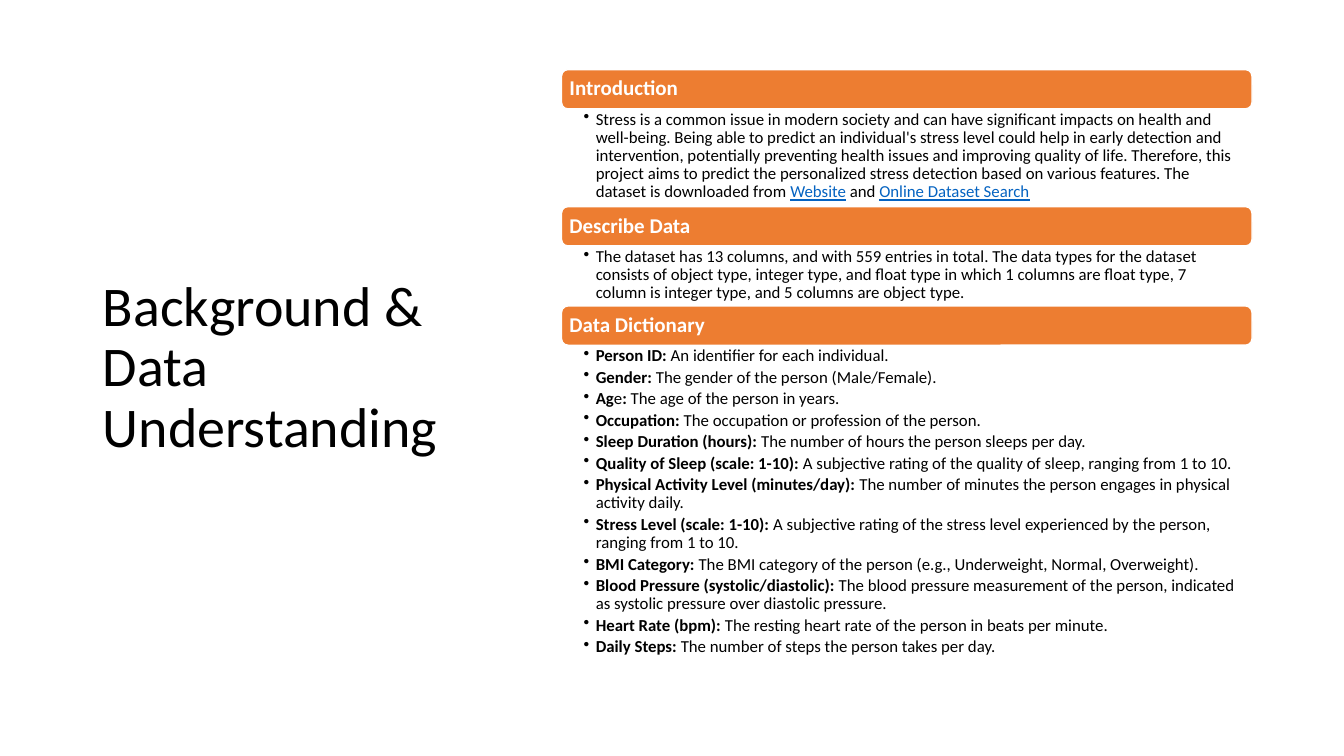
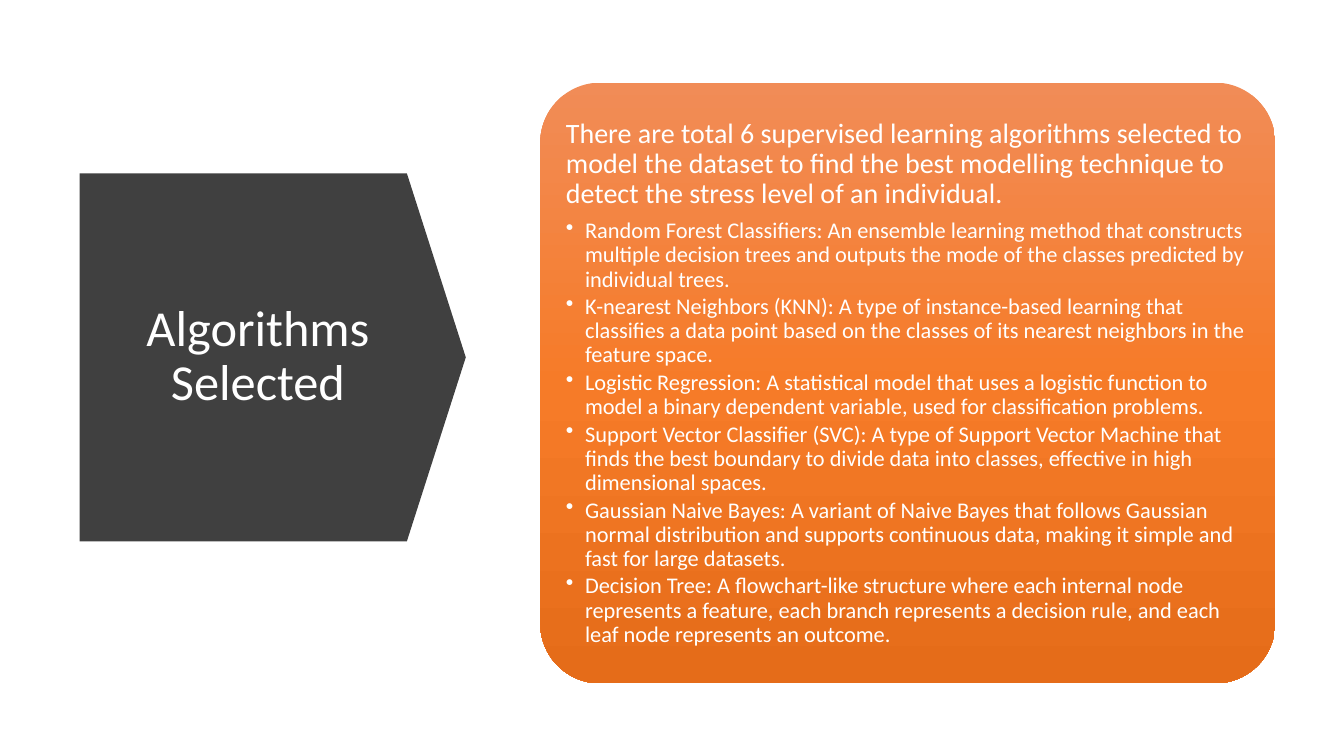
from dataclasses import dataclass

from lxml import etree
from pptx import Presentation
from pptx import util as u
from pptx.dml.color import RGBColor
from pptx.enum import shapes, text
from pptx.oxml.ns import qn

FONT = "Calibri"
COLORS = {
    "text": "000000",
    "light": "FFFFFF",
    "accent": "ED7D31",
    "link": "0563C1",
    "arrow": "404040",
}
CARD_GRADIENT = [(0, "F18C57"), (50, "F67B28"), (100, "E56C19")]
WIDTH, HEIGHT = u.Inches(13.33), u.Inches(7.5)
LINE_SPACING = 0.9


@dataclass(frozen=True)
class Area:
    """Left, top, width and height in percent of the slide's size."""
    left: float
    top: float
    width: float
    height: float

    def box(self) -> tuple[int, int, int, int]:
        return (round(WIDTH * self.left / 100), round(HEIGHT * self.top / 100),
                round(WIDTH * self.width / 100), round(HEIGHT * self.height / 100))


@dataclass(frozen=True)
class Run:
    text: str
    bold: bool = False
    link: bool = False


@dataclass(frozen=True)
class Style:
    size: float
    color: str = "text"
    space_after: float = 0
    bullet_indent: float = 0
    align: text.PP_ALIGN = text.PP_ALIGN.LEFT


@dataclass(frozen=True)
class Section:
    heading: str
    height: float
    items: list[list[Run]]


def entry(term: str, meaning: str) -> list[Run]:
    return [Run(term + ": ", bold=True), Run(meaning)]


BAND = Area(41.78, 9.2, 51.38, 5.2)
HEADING = Style(15, "light")
BODY = Style(12, space_after=2.4, bullet_indent=0.12)
LEAD = Style(20, "light", space_after=7)
ALGORITHM = Style(16, "light", space_after=2.4, bullet_indent=0.19)

SECTIONS = [
    Section("Introduction", 12.93, [[
        Run("Stress is a common issue in modern society and can have significant impacts "
            "on health and well-being. Being able to predict an individual's stress level "
            "could help in early detection and intervention, potentially preventing health "
            "issues and improving quality of life. Therefore, this project aims to predict "
            "the personalized stress detection based on various features. The dataset is "
            "downloaded from "),
        Run("Website", link=True),
        Run(" and "),
        Run("Online Dataset Search", link=True),
    ]]),
    Section("Describe Data", 7.93, [[
        Run("The dataset has 13 columns, and with 559 entries in total. The data types for "
            "the dataset consists of object type, integer type, and float type in which 1 "
            "columns are float type, 7 column is integer type, and 5 columns are object "
            "type."),
    ]]),
    Section("Data Dictionary", 43.47, [
        entry("Person ID", "An identifier for each individual."),
        entry("Gender", "The gender of the person (Male/Female)."),
        [Run("Ag", bold=True), Run("e"), Run(":", bold=True),
         Run(" The age of the person in years.")],
        entry("Occupation", "The occupation or profession of the person."),
        entry("Sleep Duration (hours)", "The number of hours the person sleeps per day."),
        entry("Quality of Sleep (scale: 1-10)",
              "A subjective rating of the quality of sleep, ranging from 1 to 10."),
        entry("Physical Activity Level (minutes/day)",
              "The number of minutes the person engages in physical activity daily."),
        entry("Stress Level (scale: 1-10)",
              "A subjective rating of the stress level experienced by the person, "
              "ranging from 1 to 10."),
        entry("BMI Category",
              "The BMI category of the person (e.g., Underweight, Normal, Overweight)."),
        entry("Blood Pressure (systolic/diastolic)",
              "The blood pressure measurement of the person, indicated as systolic "
              "pressure over diastolic pressure."),
        entry("Heart Rate (bpm)",
              "The resting heart rate of the person in beats per minute."),
        entry("Daily Steps", "The number of steps the person takes per day."),
    ]),
]

ALGORITHMS_LEAD = (
    "There are total 6 supervised learning algorithms selected to model the dataset to find "
    "the best modelling technique to detect the stress level of an individual.")
ALGORITHMS = [
    "Random Forest Classifiers: An ensemble learning method that constructs multiple "
    "decision trees and outputs the mode of the classes predicted by individual trees.",
    "K-nearest Neighbors (KNN): A type of instance-based learning that classifies a data "
    "point based on the classes of its nearest neighbors in the feature space.",
    "Logistic Regression: A statistical model that uses a logistic function to model a "
    "binary dependent variable, used for classification problems.",
    "Support Vector Classifier (SVC): A type of Support Vector Machine that finds the best "
    "boundary to divide data into classes, effective in high dimensional spaces.",
    "Gaussian Naive Bayes: A variant of Naive Bayes that follows Gaussian normal "
    "distribution and supports continuous data, making it simple and fast for large "
    "datasets.",
    "Decision Tree: A flowchart-like structure where each internal node represents a "
    "feature, each branch represents a decision rule, and each leaf node represents an "
    "outcome.",
]


def rgb(name: str) -> RGBColor:
    return RGBColor.from_string(COLORS[name])


def set_frame(shape, anchor: text.MSO_ANCHOR, insets: tuple) -> None:
    """Set wrapping, anchor and the left, top, right and bottom insets in inches."""
    frame = shape.text_frame
    frame.word_wrap = True
    frame.auto_size = text.MSO_AUTO_SIZE.NONE
    frame.vertical_anchor = anchor
    (frame.margin_left, frame.margin_top,
     frame.margin_right, frame.margin_bottom) = map(u.Inches, insets)


def write_paragraph(paragraph, runs: list[Run], style: Style) -> None:
    paragraph.alignment = style.align
    paragraph.line_spacing = LINE_SPACING
    paragraph.space_before = u.Pt(0)
    paragraph.space_after = u.Pt(style.space_after)
    if style.bullet_indent:
        paragraph.level = 1
        properties = paragraph._p.get_or_add_pPr()
        indent = u.Inches(style.bullet_indent)
        properties.set("marL", str(indent))
        properties.set("indent", str(-indent))
        etree.SubElement(properties, qn("a:buChar")).set("char", "•")
    for part in runs:
        run = paragraph.add_run()
        run.text = part.text
        run.font.name = FONT
        run.font.size = u.Pt(style.size)
        run.font.bold = part.bold
        run.font.underline = part.link
        run.font.color.rgb = rgb("link" if part.link else style.color)


def write_paragraphs(shape, items: list[list[Run]], styles: list[Style]) -> None:
    frame = shape.text_frame
    for index, (runs, style) in enumerate(zip(items, styles)):
        paragraph = frame.add_paragraph() if index else frame.paragraphs[0]
        write_paragraph(paragraph, runs, style)


def add_titled_slide(presentation, title: str, area: Area, style: Style):
    slide = presentation.slides.add_slide(presentation.slide_layouts[5])
    placeholder = slide.shapes.title
    placeholder.left, placeholder.top, placeholder.width, placeholder.height = area.box()
    set_frame(placeholder, text.MSO_ANCHOR.MIDDLE, (0.1, 0.05, 0.1, 0.05))
    write_paragraphs(placeholder, [[Run(title)]], [style])
    return slide


def add_plain_shape(slide, kind: shapes.MSO_SHAPE, area: Area):
    """Add a preset shape without shadow and outline."""
    shape = slide.shapes.add_shape(kind, *area.box())
    shape.shadow.inherit = False
    shape.line.fill.background()
    return shape


def fill_solid(shape, color: str) -> None:
    shape.fill.solid()
    shape.fill.fore_color.rgb = rgb(color)


def fill_downward_gradient(shape, stops: list[tuple[int, str]]) -> None:
    shape.fill.gradient()
    shape.fill.gradient_angle = 270
    stop_list = shape._element.spPr.find(qn("a:gradFill")).find(qn("a:gsLst"))
    for old_stop in list(stop_list):
        stop_list.remove(old_stop)
    for percent, color in stops:
        stop = etree.SubElement(stop_list, qn("a:gs"), pos=str(percent * 1000))
        etree.SubElement(stop, qn("a:srgbClr"), val=color)


def add_section(slide, section: Section, top: float) -> float:
    """Draw a heading band with its text below and return the bottom edge."""
    band = add_plain_shape(slide, shapes.MSO_SHAPE.ROUNDED_RECTANGLE,
                           Area(BAND.left, top, BAND.width, BAND.height))
    fill_solid(band, "accent")
    band.line.color.rgb = rgb("light")
    band.line.width = u.Pt(1)
    set_frame(band, text.MSO_ANCHOR.MIDDLE, (0.06,) * 4)
    write_paragraphs(band, [[Run(section.heading, bold=True)]], [HEADING])

    body_top = top + BAND.height
    body = slide.shapes.add_textbox(
        *Area(BAND.left, body_top, BAND.width, section.height).box())
    set_frame(body, text.MSO_ANCHOR.TOP, (0.22, 0.02, 0.12, 0.02))
    write_paragraphs(body, section.items, [BODY] * len(section.items))
    return body_top + section.height


def build_background_slide(presentation) -> None:
    slide = add_titled_slide(presentation, "Background & Data Understanding",
                             Area(6.9, 8.13, 27.68, 81.2), Style(40))
    top = BAND.top
    for section in SECTIONS:
        top = add_section(slide, section, top)


def build_algorithms_slide(presentation) -> None:
    slide = add_titled_slide(presentation, "Algorithms Selected",
                             Area(8.4, 28.67, 21.6, 37.2),
                             Style(36, "light", align=text.PP_ALIGN.CENTER))
    arrow = add_plain_shape(slide, shapes.MSO_SHAPE.DOWN_ARROW,
                            Area(6.6, 21.73, 27.38, 51.07))
    arrow.rotation = 270
    arrow.adjustments[0], arrow.adjustments[1] = 1, 0.16
    fill_solid(arrow, "arrow")
    slide.shapes.title._element.addprevious(arrow._element)

    card = add_plain_shape(slide, shapes.MSO_SHAPE.ROUNDED_RECTANGLE,
                           Area(40.2, 10.93, 54.68, 79.47))
    card.adjustments[0] = 0.1
    fill_downward_gradient(card, CARD_GRADIENT)
    set_frame(card, text.MSO_ANCHOR.MIDDLE, (0.08,) * 4)
    write_paragraphs(card, [[Run(line)] for line in [ALGORITHMS_LEAD, *ALGORITHMS]],
                     [LEAD] + [ALGORITHM] * len(ALGORITHMS))


def main() -> None:
    presentation = Presentation()
    presentation.slide_width, presentation.slide_height = WIDTH, HEIGHT
    build_background_slide(presentation)
    build_algorithms_slide(presentation)
    presentation.save("out.pptx")


if __name__ == "__main__":
    main()
